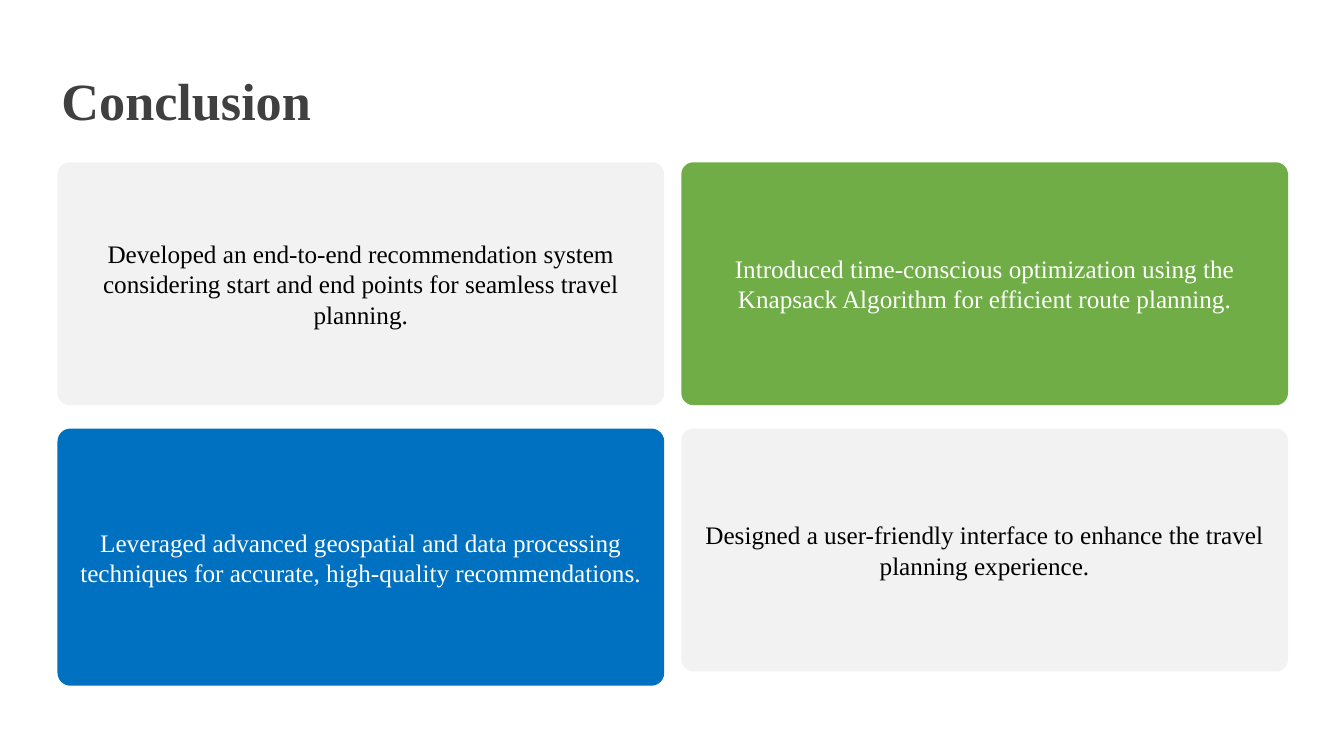
from pptx import Presentation
from pptx.dml.color import RGBColor
from pptx.enum.shapes import MSO_SHAPE
from pptx.enum.text import MSO_ANCHOR, PP_ALIGN
from pptx.util import Cm, Pt

COLORS = {
    "title": "404040",
    "grey": "F2F2F2",
    "green": "70AD47",
    "blue": "0070C0",
    "black": "000000",
    "white": "FFFFFF",
}
FONT = "Times New Roman"
LEFT, TOP = 1.45, 4.09
CARD_W, CARD_H = 15.29, 6.12
COL_STEP, ROW_STEP = 15.72, 6.71

# column, row, height, fill, text colour, text
CARDS = [
    (0, 0, CARD_H, "grey", "black",
     "Developed an end-to-end recommendation system considering start and "
     "end points for seamless travel planning."),
    (0, 1, 6.48, "blue", "white",
     "Leveraged advanced geospatial and data processing techniques for "
     "accurate, high-quality recommendations."),
    (1, 0, CARD_H, "green", "white",
     "Introduced time-conscious optimization using the Knapsack Algorithm "
     "for efficient route planning."),
    (1, 1, CARD_H, "grey", "black",
     "Designed a user-friendly interface to enhance the travel planning "
     "experience."),
]


def write(sp, text, size, color, margin_x=0, margin_y=0):
    """Fill the shape with one vertically centred paragraph and return it."""
    tf = sp.text_frame
    tf.word_wrap = True
    tf.vertical_anchor = MSO_ANCHOR.MIDDLE
    tf.margin_left = tf.margin_right = Cm(margin_x)
    tf.margin_top = tf.margin_bottom = Cm(margin_y)
    p = tf.paragraphs[0]
    p.text = text
    p.font.name = FONT
    p.font.size = Pt(size)
    p.font.color.rgb = RGBColor.from_string(COLORS[color])
    return p


prs = Presentation()
prs.slide_width, prs.slide_height = Cm(33.87), Cm(19.05)
s = prs.slides.add_slide(prs.slide_layouts[6])

title = s.shapes.add_textbox(Cm(1.55), Cm(1.85), Cm(30.99), Cm(1.52))
p = write(title, "Conclusion", 37.3, "title")
p.font.bold = True
p.line_spacing = 0.9

for col, row, height, fill, color, text in CARDS:
    sp = s.shapes.add_shape(
        MSO_SHAPE.ROUNDED_RECTANGLE,
        Cm(LEFT + col * COL_STEP), Cm(TOP + row * ROW_STEP),
        Cm(CARD_W), Cm(height))
    sp.adjustments[0] = 0.05
    sp.shadow.inherit = False
    sp.fill.solid()
    sp.fill.fore_color.rgb = RGBColor.from_string(COLORS[fill])
    sp.line.fill.background()
    p = write(sp, text, 18, color, 0.33, 0.18)
    p.alignment = PP_ALIGN.CENTER

prs.save("out.pptx")
